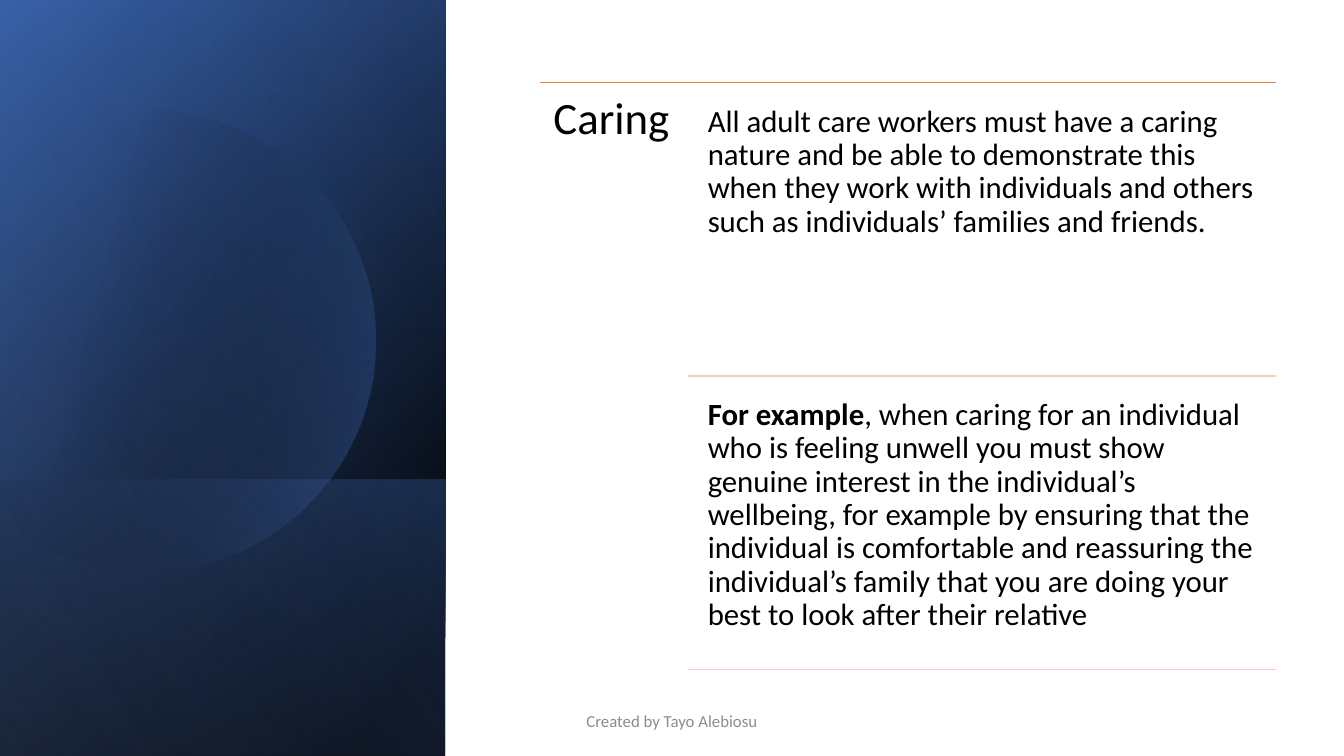
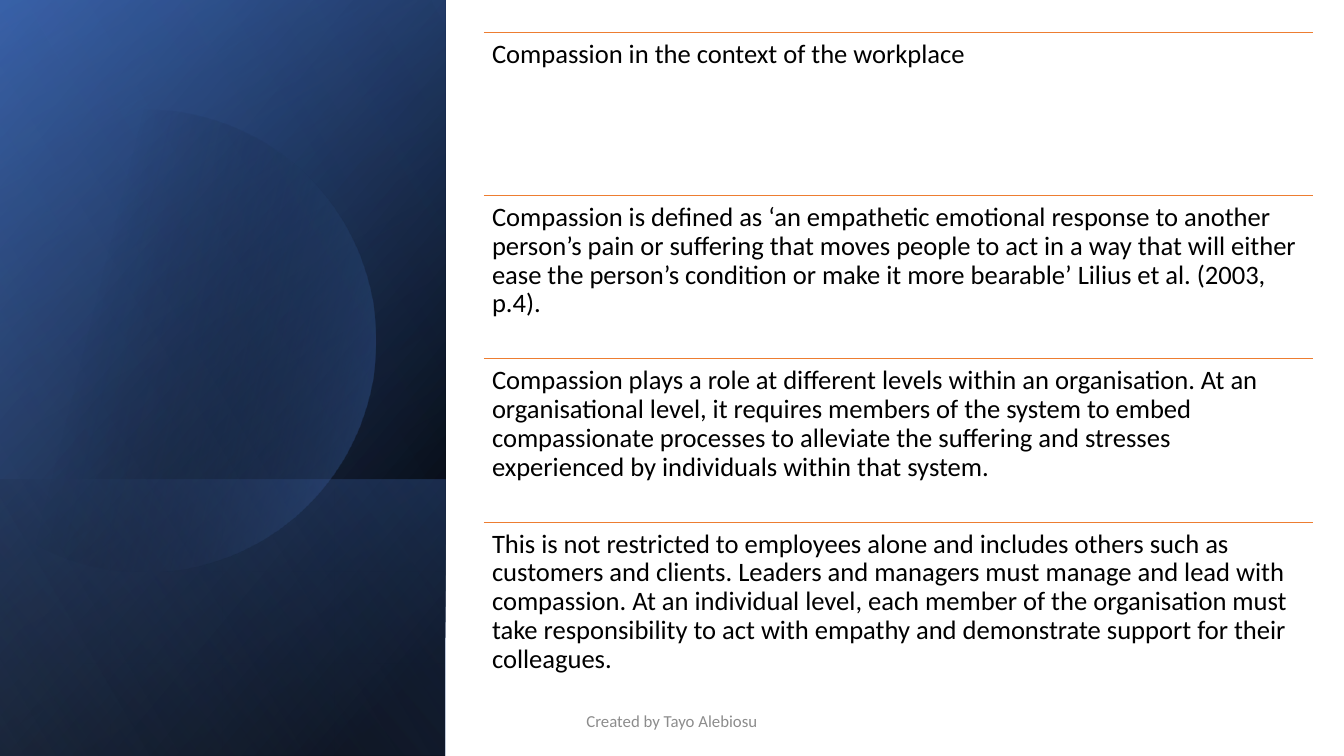
from math import cos, sin, radians
from lxml import etree
from pptx import Presentation
from pptx.dml.color import RGBColor
from pptx.enum.shapes import MSO_CONNECTOR as Link, MSO_SHAPE as Form
from pptx.enum.text import MSO_ANCHOR as Anchor, PP_ALIGN as Align
from pptx.oxml import parse_xml
from pptx.oxml.ns import nsdecls, qn
from pptx.util import Inches as In, Pt

# Shared measures and colours
WIDE, HIGH = 13.33, 7.5
BAND = WIDE * 0.33 + 0.02
FONT = "Calibri"
INK, GRAY = "000000", "8C8C8C"
BLUE, NAVY, PALE = "4472C4", "2F5597", "8FAADC"
RUST, PINK = "ED7D31", "F6CCBE"
hue = RGBColor.from_string

# Side band, back to front: top (None = disc), angle, stops (place, colour, opacity)
LAYERS = [
    (0, 50, [(8, INK, 100), (100, NAVY, 100)]),
    (0, 30, [(0, INK, 0), (99, BLUE, 46)]),
    (4.76, 130, [(2, BLUE, 29), (100, INK, 30)]),
    (None, 14, [(29, INK, 0), (100, BLUE, 43)]),
    (0, 120, [(0, INK, 0), (99, PALE, 11)]),
]
DISC_X, DISC_Y, DISC_R, DISC_END = 1.44, 3.38, 2.29, 129


def rule(page, left, right, top, tint, size):
    line = page.shapes.add_connector(Link.STRAIGHT, In(left), In(top), In(right), In(top))
    line.line.color.rgb = hue(tint)
    line.line.width = Pt(size)
    etree.SubElement(line._element.spPr, qn("a:effectLst"))


def write(page, at, pad, size, runs, tint=INK):
    box = page.shapes.add_textbox(*[In(n) for n in at])
    frame = box.text_frame
    frame.word_wrap = True
    frame.margin_left = frame.margin_right = In(pad)
    frame.margin_top = frame.margin_bottom = In(pad)
    para = frame.paragraphs[0]
    para.line_spacing = 0.9
    for words, bold in runs:
        run = para.add_run()
        run.text = words
        run.font.name = FONT
        run.font.size = Pt(size)
        run.font.bold = bold
        run.font.color.rgb = hue(tint)
    return frame


deck = Presentation()
deck.slide_width, deck.slide_height = In(WIDE), In(HIGH)
pages = [deck.slides.add_slide(deck.slide_layouts[6]) for _ in range(2)]

# Side band on every slide
for page in pages:
    for top, angle, stops in LAYERS:
        if top is None:
            arc = [(In(DISC_X + DISC_R * cos(radians(a))), In(DISC_Y + DISC_R * sin(radians(a))))
                   for a in range(-DISC_END, DISC_END + 1, 2)]
            pen = page.shapes.build_freeform(*arc[0])
            pen.add_line_segments(arc[1:], close=True)
            shape = pen.convert_to_shape()
        else:
            # A quarter turn swaps width and height about the centre
            tall = HIGH - top
            shape = page.shapes.add_shape(
                Form.RECTANGLE, In((BAND - tall) / 2), In(top + (tall - BAND) / 2), In(tall), In(BAND))
            shape.rotation = 90
            shape._element.spPr.find(qn("a:xfrm")).set("flipH", "1")
        shape.shadow.inherit = False
        shape.line.fill.background()
        shape.fill.background()
        marks = "".join(
            f'<a:gs pos="{pos * 1000}"><a:srgbClr val="{tint}">'
            f'<a:alpha val="{alpha * 1000}"/></a:srgbClr></a:gs>'
            for pos, tint, alpha in stops)
        props = shape._element.spPr
        props.replace(props.find(qn("a:noFill")), parse_xml(
            f'<a:gradFill {nsdecls("a")} rotWithShape="1"><a:gsLst>{marks}</a:gsLst>'
            f'<a:lin ang="{angle * 60000}" scaled="0"/></a:gradFill>'))

# Slide 1: heading column beside two rows
LEFT, RIGHT, TOP, ROW = 5.36, 12.66, 0.82, 2.91
COL = (RIGHT - LEFT) / 5
GAP = 0.11
CARE = [
    [("All adult care workers must have a caring nature and be able to demonstrate this when they "
      "work with individuals and others such as individuals’ families and friends.", False)],
    [("For example", True),
     (", when caring for an individual who is feeling unwell you must show genuine interest in the "
      "individual’s wellbeing, for example by ensuring that the individual is comfortable and "
      "reassuring the individual’s family that you are doing your best to look after their relative",
      False)],
]
page = pages[0]
rule(page, LEFT, RIGHT, TOP, RUST, 0.5)
write(page, (LEFT, TOP, COL, 2 * ROW), 0.13, 32, [("Caring", False)])
for i, runs in enumerate(CARE):
    top = TOP + i * ROW
    write(page, (LEFT + COL + GAP, top + 0.14, 4 * COL - GAP, ROW - 0.14), 0.09, 22, runs)
    rule(page, LEFT + COL, RIGHT, top + ROW, PINK, 1)

# Slide 2: four equal rows, each under a rule
LEFT, RIGHT, TOP, ROW = 4.8, 13.02, 0.32, 1.62
NOTES = [
    "Compassion in the context of the workplace",
    "Compassion is defined as ‘an empathetic emotional response to another person’s pain or "
    "suffering that moves people to act in a way that will either ease the person’s condition or "
    "make it more bearable’ Lilius et al. (2003, p.4).",
    "Compassion plays a role at different levels within an organisation. At an organisational "
    "level, it requires members of the system to embed compassionate processes to alleviate the "
    "suffering and stresses experienced by individuals within that system.",
    "This is not restricted to employees alone and includes others such as customers and clients. "
    "Leaders and managers must manage and lead with compassion. At an individual level, each "
    "member of the organisation must take responsibility to act with empathy and demonstrate "
    "support for their colleagues.",
]
page = pages[1]
for i, words in enumerate(NOTES):
    top = TOP + i * ROW
    rule(page, LEFT, RIGHT, top, RUST, 0.5)
    write(page, (LEFT, top, RIGHT - LEFT, ROW), 0.08, 19, [(words, False)])

# Footer on every slide
for page in pages:
    foot = write(page, ((WIDE - 4.5) / 2, 6.95, 4.5, 0.4), 0.05, 12,
                 [("Created by Tayo Alebiosu", False)], GRAY)
    foot.vertical_anchor = Anchor.MIDDLE
    foot.paragraphs[0].alignment = Align.CENTER
    foot.paragraphs[0].line_spacing = 1.0

deck.save("out.pptx")
